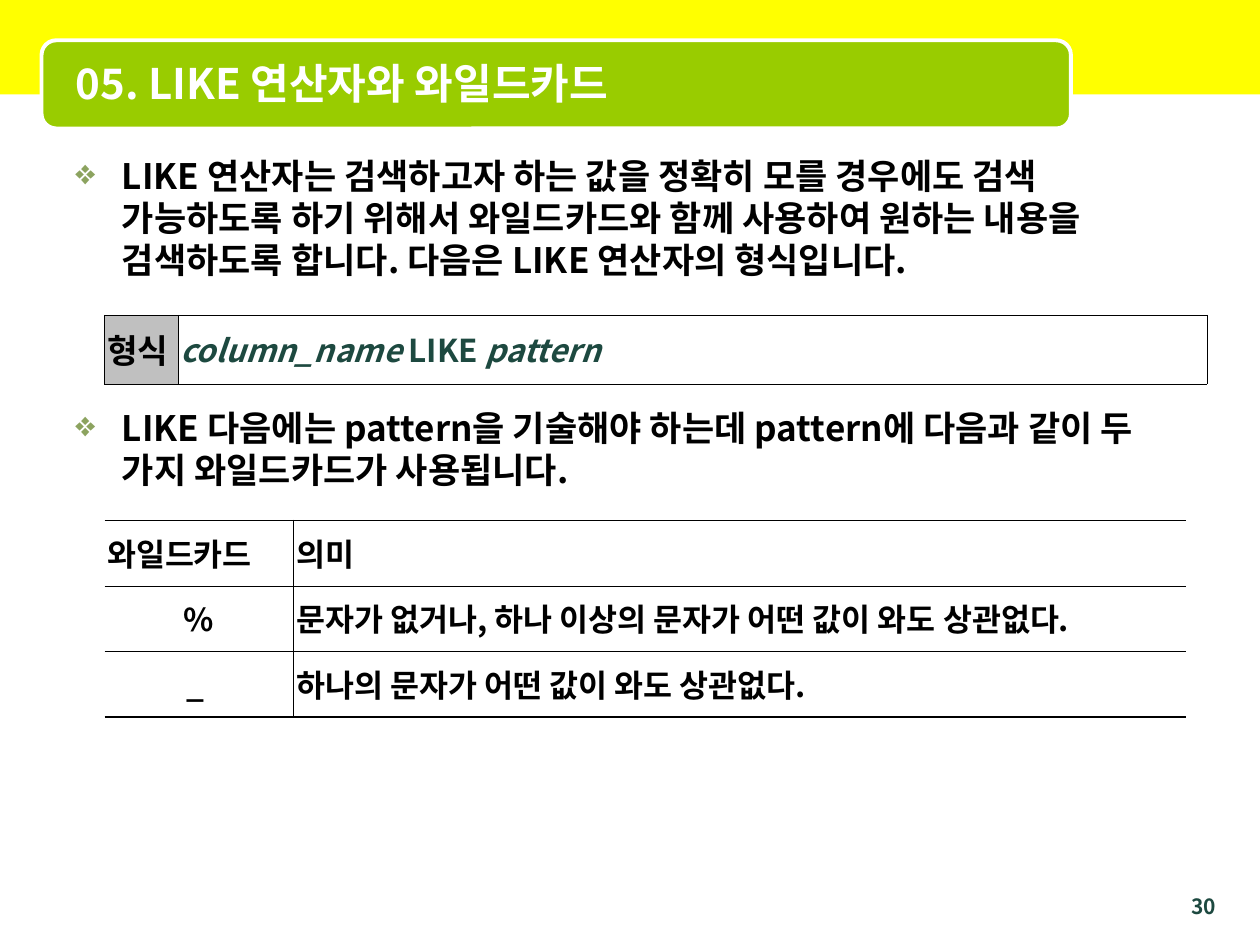
from dataclasses import dataclass

from lxml.etree import SubElement
from pptx import Presentation
from pptx.dml.color import RGBColor
from pptx.enum.shapes import MSO_SHAPE
from pptx.enum.text import MSO_ANCHOR, MSO_AUTO_SIZE, PP_ALIGN
from pptx.oxml.ns import qn
from pptx.util import Inches, Pt

FONT = "Noto Sans CJK KR"
COLORS = {
    "band": "FFFF00", "banner": "99CC00", "white": "FFFFFF", "black": "000000",
    "accent": "1D4940", "bullet": "8CA35F", "label": "C0C0C0",
}
HAIR, THIN, THICK = 0.11, 0.28, 0.96


@dataclass
class Run:
    text: str
    size: float = 18
    color: str = "black"
    italic: bool = False


@dataclass
class Cell:
    runs: list[Run]
    borders: dict[str, float]
    align: PP_ALIGN = PP_ALIGN.JUSTIFY
    fill: str = "white"


@dataclass
class Bullet:
    text: str
    space_before: float


def rgb(name: str) -> RGBColor:
    return RGBColor.from_string(COLORS[name])


def add_run(paragraph, item: Run) -> None:
    run = paragraph.add_run()
    run.text = item.text
    font = run.font
    font.name, font.size = FONT, Pt(item.size)
    font.bold, font.italic = True, item.italic
    font.color.rgb = rgb(item.color)
    SubElement(font._element, qn("a:ea"), typeface=FONT)


def add_panel(slide, kind, left, top, width, height, fill: str):
    panel = slide.shapes.add_shape(
        kind, Inches(left), Inches(top), Inches(width), Inches(height))
    panel.shadow.inherit = False
    panel.fill.solid()
    panel.fill.fore_color.rgb = rgb(fill)
    panel.line.fill.background()
    return panel


def add_text_frame(slide, left, top, width, height):
    frame = slide.shapes.add_textbox(
        Inches(left), Inches(top), Inches(width), Inches(height)).text_frame
    frame.word_wrap = True
    return frame


def add_bullet(paragraph, bullet: Bullet) -> None:
    paragraph.space_before = Pt(bullet.space_before)
    paragraph.line_spacing = Pt(24)
    properties = paragraph._p.get_or_add_pPr()
    properties.set("marL", str(Inches(0.37)))
    properties.set("indent", str(Inches(-0.37)))
    bullet_color = SubElement(properties, qn("a:buClr"))
    SubElement(bullet_color, qn("a:srgbClr"), val=COLORS["bullet"])
    SubElement(properties, qn("a:buChar"), char="❖")
    add_run(paragraph, Run(bullet.text, 20))


def set_borders(cell, borders: dict[str, float]) -> None:
    properties = cell._tc.get_or_add_tcPr()
    for position, side in enumerate("LRTB"):
        width = borders.get(side)
        line = SubElement(properties, qn(f"a:ln{side}"), w=str(Pt(width or 0)))
        if width:
            fill = SubElement(line, qn("a:solidFill"))
            SubElement(fill, qn("a:srgbClr"), val=COLORS["black"])
        else:
            SubElement(line, qn("a:noFill"))
        properties.insert(position, line)


def add_grid(slide, left, top, widths: list[float], row_height: float,
             rows: list[list[Cell]]) -> None:
    table = slide.shapes.add_table(
        len(rows), len(widths), Inches(left), Inches(top),
        Inches(sum(widths)), Inches(row_height * len(rows))).table
    table.first_row = table.horz_banding = False
    for column, width in zip(table.columns, widths):
        column.width = Inches(width)
    for r, row in enumerate(rows):
        table.rows[r].height = Inches(row_height)
        for c, item in enumerate(row):
            cell = table.cell(r, c)
            cell.margin_left = cell.margin_right = Inches(0.02)
            cell.vertical_anchor = MSO_ANCHOR.MIDDLE
            cell.fill.solid()
            cell.fill.fore_color.rgb = rgb(item.fill)
            set_borders(cell, item.borders)
            paragraph = cell.text_frame.paragraphs[0]
            paragraph.alignment = item.align
            paragraph.line_spacing = 0.96
            for run in item.runs:
                add_run(paragraph, run)


def wildcard_rows(entries: list[tuple[str, str]]) -> list[list[Cell]]:
    rows = []
    last = len(entries) - 1
    for i, (wildcard, meaning) in enumerate(entries):
        edges = {"T": HAIR if i else THICK, "B": THICK if i == last else HAIR}
        rows.append([
            Cell([Run(wildcard)], edges | {"R": THIN},
                 PP_ALIGN.CENTER if i else PP_ALIGN.JUSTIFY),
            Cell([Run(meaning)], edges | {"L": THIN}),
        ])
    return rows


def main() -> None:
    deck = Presentation()
    deck.slide_width, deck.slide_height = Inches(10), Inches(7.5)
    slide = deck.slides.add_slide(deck.slide_layouts[5])

    # Header band and banner
    add_panel(slide, MSO_SHAPE.RECTANGLE, 0, 0, 10, 0.75, "band")
    banner = add_panel(
        slide, MSO_SHAPE.ROUNDED_RECTANGLE, 0.33, 0.32, 8.17, 0.7, "banner")
    banner.line.color.rgb = rgb("white")
    banner.line.width = Pt(2.25)

    # Title, brought in front of the banner
    title = slide.shapes.title
    title.left, title.top = Inches(0.5), Inches(0.35)
    title.width, title.height = Inches(7.92), Inches(0.62)
    title.text_frame.auto_size = MSO_AUTO_SIZE.NONE
    title.text_frame.vertical_anchor = MSO_ANCHOR.MIDDLE
    heading = title.text_frame.paragraphs[0]
    heading.alignment = PP_ALIGN.LEFT
    add_run(heading, Run("05. LIKE 연산자와 와일드카드", 24, "white"))
    slide.shapes._spTree.append(title._element)

    # Page number
    page_number = add_text_frame(slide, 9.25, 7.04, 0.5, 0.21).paragraphs[0]
    page_number.alignment = PP_ALIGN.RIGHT
    add_run(page_number, Run("30", 12, "accent"))

    # Explanations, with room between them for the syntax table
    bullets = [
        Bullet("LIKE 연산자는 검색하고자 하는 값을 정확히 모를 경우에도 검색 "
               "가능하도록 하기 위해서 와일드카드와 함께 사용하여 원하는 내용을 "
               "검색하도록 합니다. 다음은 LIKE 연산자의 형식입니다.", 0),
        Bullet("LIKE 다음에는 pattern을 기술해야 하는데 pattern에 다음과 같이 "
               "두 가지 와일드카드가 사용됩니다.", 72),
    ]
    body = add_text_frame(slide, 0.5, 1.18, 9, 6.14)
    for i, bullet in enumerate(bullets):
        add_bullet(body.add_paragraph() if i else body.paragraphs[0], bullet)

    # Syntax table
    boxed = dict.fromkeys("LRTB", HAIR)
    syntax = [
        Run("column_name", color="accent", italic=True),
        Run(" LIKE ", color="accent"),
        Run("pattern", color="accent", italic=True),
    ]
    add_grid(slide, 0.83, 2.5, [0.58, 8.17], 0.55, [[
        Cell([Run("형식", 19)], boxed, fill="label"),
        Cell(syntax, boxed, PP_ALIGN.LEFT),
    ]])

    # Wildcard table
    add_grid(slide, 0.83, 4.13, [1.5, 7.08], 0.52, wildcard_rows([
        ("와일드카드", "의미"),
        ("%", "문자가 없거나, 하나 이상의 문자가 어떤 값이 와도 상관없다."),
        ("_ ", "하나의 문자가 어떤 값이 와도 상관없다."),
    ]))

    deck.save("out.pptx")


if __name__ == "__main__":
    main()
